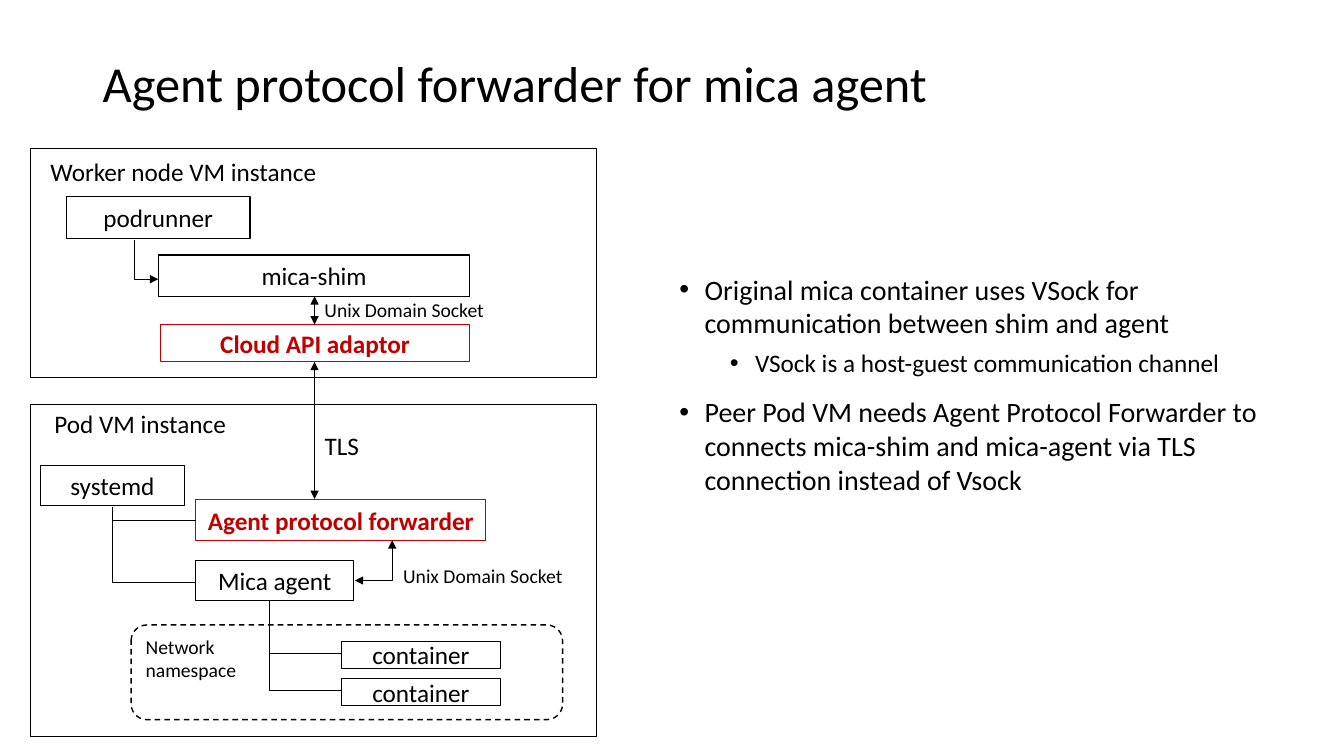
import pptx
import pptx.util
import pptx.dml.color
import pptx.enum.dml
import pptx.enum.shapes
import pptx.enum.text
import pptx.oxml.ns
from lxml import etree

Inches = pptx.util.Inches
Pt = pptx.util.Pt
qn = pptx.oxml.ns.qn
KIND = pptx.enum.shapes.MSO_SHAPE
LINK = pptx.enum.shapes.MSO_CONNECTOR
ANCHOR = pptx.enum.text.MSO_ANCHOR
ALIGN = pptx.enum.text.PP_ALIGN
COLORS = {"ink": "000000", "paper": "FFFFFF", "new": "C00000"}
FONT = "Calibri"


def rgb(name):
    return pptx.dml.color.RGBColor.from_string(COLORS[name])


def style(para, size, color="ink", bold=False):
    for run in para.runs:
        run.font.name = FONT
        run.font.size = Pt(size)
        run.font.bold = bold
        run.font.color.rgb = rgb(color)


def inset(frame, left, top, right, bottom):
    frame.margin_left, frame.margin_top = Inches(left), Inches(top)
    frame.margin_right, frame.margin_bottom = Inches(right), Inches(bottom)


def stroke(shape, width, color="ink", heads=()):
    shape.line.color.rgb = rgb(color)
    shape.line.width = Pt(width)
    ln = shape.element.find(".//" + qn("a:ln"))
    for head in heads:
        etree.SubElement(ln, qn("a:" + head), type="triangle")


def label(slide, text, place, size, wrap=False):
    box = slide.shapes.add_textbox(*map(Inches, place))
    frame = box.text_frame
    frame.word_wrap = wrap
    frame.text = text
    style(frame.paragraphs[0], size)
    return frame


def block(slide, text, place, color="ink", kind=KIND.RECTANGLE, size=18):
    shape = slide.shapes.add_shape(kind, *map(Inches, place))
    shape.shadow.inherit = False
    shape.fill.solid()
    shape.fill.fore_color.rgb = rgb("paper")
    stroke(shape, 0.75, color)
    frame = shape.text_frame
    frame.text = text
    frame.vertical_anchor = ANCHOR.MIDDLE
    inset(frame, 0.04, 0.04, 0.04, 0.04)
    for para in frame.paragraphs:
        para.alignment = ALIGN.CENTER
        style(para, size, color, color == "new")
    return shape


def panel(slide, text, place, left, top, **look):
    shape = block(slide, text, place, **look)
    frame = shape.text_frame
    frame.vertical_anchor = ANCHOR.TOP
    inset(frame, left, top, 0.04, 0.04)
    for para in frame.paragraphs:
        para.alignment = ALIGN.LEFT
    return shape


def link(slide, start, end, kind=LINK.STRAIGHT, heads=()):
    line = slide.shapes.add_connector(kind, *map(Inches, start + end))
    stroke(line, 0.5, heads=heads)
    etree.SubElement(line.element.spPr, qn("a:effectLst"))
    return line


def branch(slide, start, end):
    # Down from the parent, then across to the child
    line = link(slide, start, end, LINK.ELBOW)
    guides = line.element.find(".//" + qn("a:avLst"))
    etree.SubElement(guides, qn("a:gd"), name="adj1", fmla="val 0")


def bend(slide, points, width, heads):
    spots = [(Inches(x), Inches(y)) for x, y in points]
    build = slide.shapes.build_freeform(*spots[0])
    build.add_line_segments(spots[1:], close=False)
    shape = build.convert_to_shape()
    shape.shadow.inherit = False
    shape.fill.background()
    stroke(shape, width, heads=heads)


def bullets(slide, place, items):
    frame = label(slide, "", place, 20, wrap=True)
    for i, (text, size, indent, level, before) in enumerate(items):
        para = frame.paragraphs[0] if i == 0 else frame.add_paragraph()
        para.text = text
        para.level = level
        para.space_before, para.space_after = Pt(before), Pt(6)
        style(para, size)
        props = para._p.get_or_add_pPr()
        props.set("marL", str(Inches(indent)))
        props.set("indent", str(-Inches(0.25)))
        etree.SubElement(props, qn("a:buFont"), typeface="Arial")
        etree.SubElement(props, qn("a:buChar"), char="•")


def worker(slide):
    panel(slide, "Worker node VM instance", (0.3, 1.47, 5.62, 2.28), 0.2, 0.08)
    block(slide, "podrunner", (0.66, 1.95, 1.82, 0.42))
    block(slide, "mica-shim", (1.57, 2.53, 3.09, 0.41))
    block(slide, "Cloud API adaptor", (1.59, 3.22, 3.07, 0.37), "new")
    bend(slide, [(1.57, 2.77), (1.33, 2.77), (1.33, 2.38)], 0.75, ["headEnd"])


def pod(slide):
    panel(slide, "Pod VM instance", (0.3, 4.01, 5.62, 3.3), 0.24, 0.04)
    space = panel(slide, "Network\nnamespace", (1.3, 6.2, 4.28, 0.94), 0.1, 0.05,
                  kind=KIND.ROUNDED_RECTANGLE, size=14)
    space.fill.background()
    space.line.width = Pt(1)
    space.line.dash_style = pptx.enum.dml.MSO_LINE.DASH
    block(slide, "systemd", (0.4, 4.62, 1.43, 0.4))
    block(slide, "Mica agent", (1.94, 5.56, 1.57, 0.4))
    block(slide, "Agent protocol forwarder", (1.94, 4.96, 2.88, 0.4), "new")
    for y in (5.16, 5.78):
        branch(slide, (1.11, 5.03), (1.94, y))
    for top in (6.36, 6.73):
        block(slide, "container", (3.39, top, 1.57, 0.27))
        branch(slide, (2.67, 5.96), (3.39, top + 0.12))


def main():
    deck = pptx.Presentation()
    deck.slide_width, deck.slide_height = Inches(13.33), Inches(7.5)
    slide = deck.slides.add_slide(deck.slide_layouts[6])

    # Title
    title = label(slide, "Agent protocol forwarder for mica agent",
                  (0.92, 0.4, 11.5, 0.91), 36, wrap=True)
    title.vertical_anchor = ANCHOR.MIDDLE
    title.paragraphs[0].line_spacing = 0.9

    # Diagram
    worker(slide)
    pod(slide)

    # Two-way channels
    both = ["headEnd", "tailEnd"]
    link(slide, (3.12, 2.94), (3.12, 3.22), heads=both)
    link(slide, (3.12, 3.59), (3.12, 4.95), heads=both)
    bend(slide, [(3.89, 5.36), (3.89, 5.76), (3.52, 5.76)], 0.5, both)
    label(slide, "TLS", (3.12, 4.22, 0.55, 0.4), 18)
    for x, y in ((3.12, 2.91), (3.9, 5.55)):
        label(slide, "Unix Domain Socket", (x, y, 1.8, 0.34), 14)

    # Notes on the right
    bullets(slide, (6.64, 2.65, 6.06, 2.91), [
        ("Original mica container uses VSock for communication between shim and agent",
         20, 0.25, 0, 0),
        ("VSock is a host-guest communication channel", 18, 0.75, 1, 0),
        ("Peer Pod VM needs Agent Protocol Forwarder to connects mica-shim and "
         "mica-agent via TLS connection instead of Vsock", 20, 0.25, 0, 6),
    ])
    deck.save("out.pptx")


if __name__ == "__main__":
    main()
